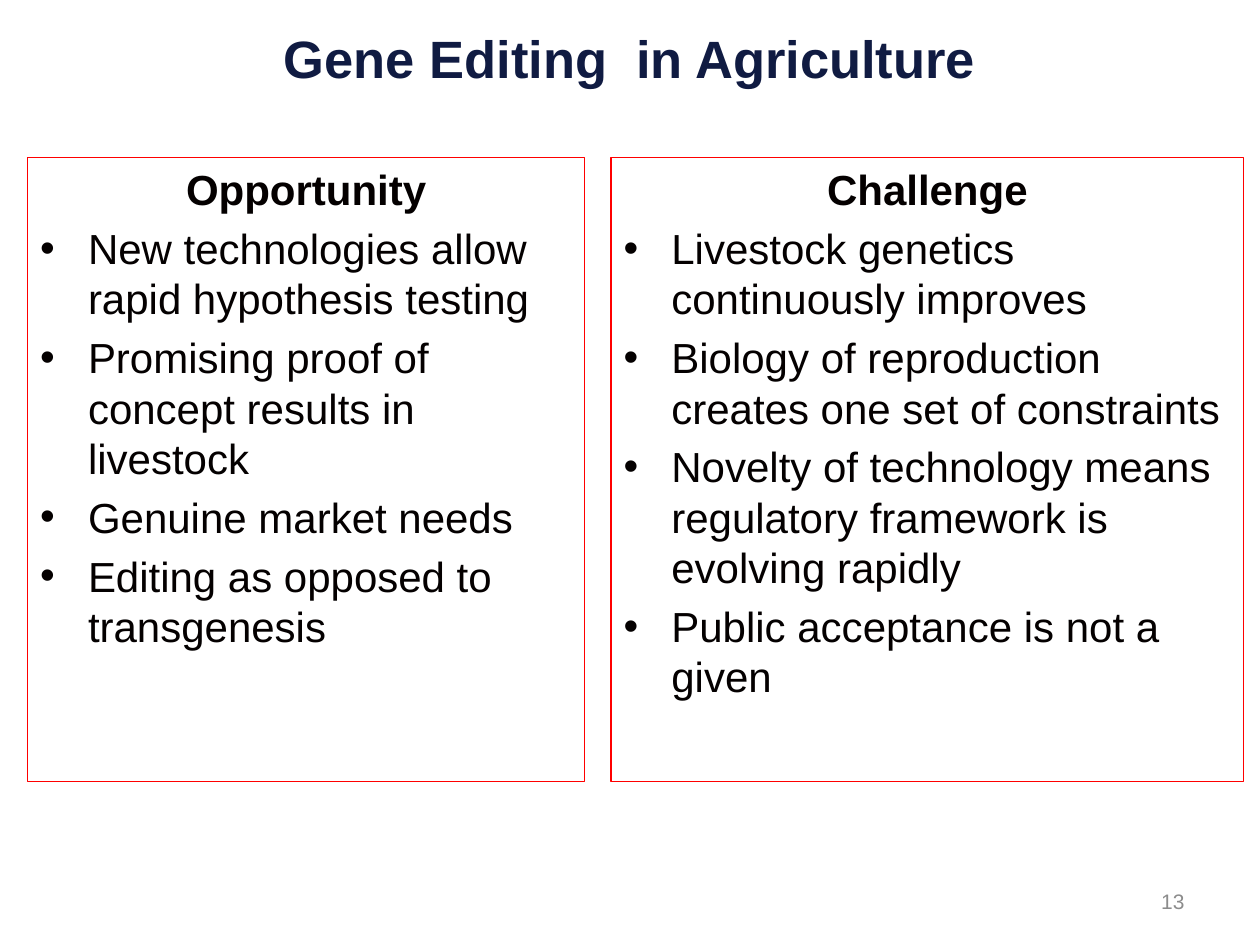
from lxml import etree
from pptx import Presentation
from pptx.dml.color import RGBColor
from pptx.enum.shapes import MSO_SHAPE
from pptx.enum.text import MSO_ANCHOR, PP_ALIGN
from pptx.oxml.ns import qn
from pptx.util import Inches, Pt

NAVY = RGBColor(0x10, 0x1B, 0x42)
INK = RGBColor(0x04, 0x00, 0x00)
GRAY = RGBColor(0x8C, 0x8C, 0x8C)
RED = RGBColor(0xFF, 0x00, 0x00)
LEFT, CENTER, RIGHT = PP_ALIGN.LEFT, PP_ALIGN.CENTER, PP_ALIGN.RIGHT
TOP, MIDDLE = MSO_ANCHOR.TOP, MSO_ANCHOR.MIDDLE

FONT = "Arial"
BODY_SIZE = 24
INDENT = Inches(0.38)
PANEL_TOP, PANEL_HEIGHT = 1.25, 4.95
PANEL_LEFT, PANEL_GAP = 0.22, 0.21

TITLE = "Gene Editing  in Agriculture"
PAGE_NUMBER = "13"
PANELS = [
    ("Opportunity", 4.42, [
        "New technologies allow rapid hypothesis testing",
        "Promising proof of concept results in livestock",
        "Genuine market needs",
        "Editing as opposed to transgenesis",
    ]),
    ("Challenge", 5.02, [
        "Livestock genetics continuously improves",
        "Biology of reproduction creates one set of constraints",
        "Novelty of technology means regulatory framework is evolving rapidly",
        "Public acceptance is not a given",
    ]),
]


def write(p, text, size=BODY_SIZE, color=INK, bold=False, align=LEFT, bullet=False):
    p.alignment = align
    if bullet:
        p.space_before = Pt(0.2 * size)
        pPr = p._p.get_or_add_pPr()
        pPr.set("marL", str(INDENT))
        pPr.set("indent", str(-INDENT))
        etree.SubElement(pPr, qn("a:buFont"), typeface=FONT)
        etree.SubElement(pPr, qn("a:buChar"), char="•")
    r = p.add_run()
    r.text = text
    r.font.name, r.font.size, r.font.bold = FONT, Pt(size), bold
    r.font.color.rgb = color


def set_frame(shape, anchor):
    tf = shape.text_frame
    tf.word_wrap = True
    tf.vertical_anchor = anchor
    return tf


def add_label(slide, box, text, **fmt):
    tf = set_frame(slide.shapes.add_textbox(*map(Inches, box)), MIDDLE)
    write(tf.paragraphs[0], text, **fmt)


def add_panel(slide, box, heading, points):
    sp = slide.shapes.add_shape(MSO_SHAPE.RECTANGLE, *map(Inches, box))
    sp.shadow.inherit = False
    sp.fill.background()
    sp.line.color.rgb = RED
    sp.line.width = Pt(0.75)
    tf = set_frame(sp, TOP)
    write(tf.paragraphs[0], heading, bold=True, align=CENTER)
    for point in points:
        write(tf.add_paragraph(), point, bullet=True)


prs = Presentation()
prs.slide_width, prs.slide_height = Inches(10), Inches(7.5)
s = prs.slides.add_slide(prs.slide_layouts[6])

add_label(s, (0.5, -0.17, 9, 1.25), TITLE, size=30, color=NAVY, bold=True, align=CENTER)
left = PANEL_LEFT
for heading, width, points in PANELS:
    add_panel(s, (left, PANEL_TOP, width, PANEL_HEIGHT), heading, points)
    left += width + PANEL_GAP
add_label(s, (7.17, 6.95, 2.33, 0.4), PAGE_NUMBER, size=12, color=GRAY, align=RIGHT)

prs.save("out.pptx")
